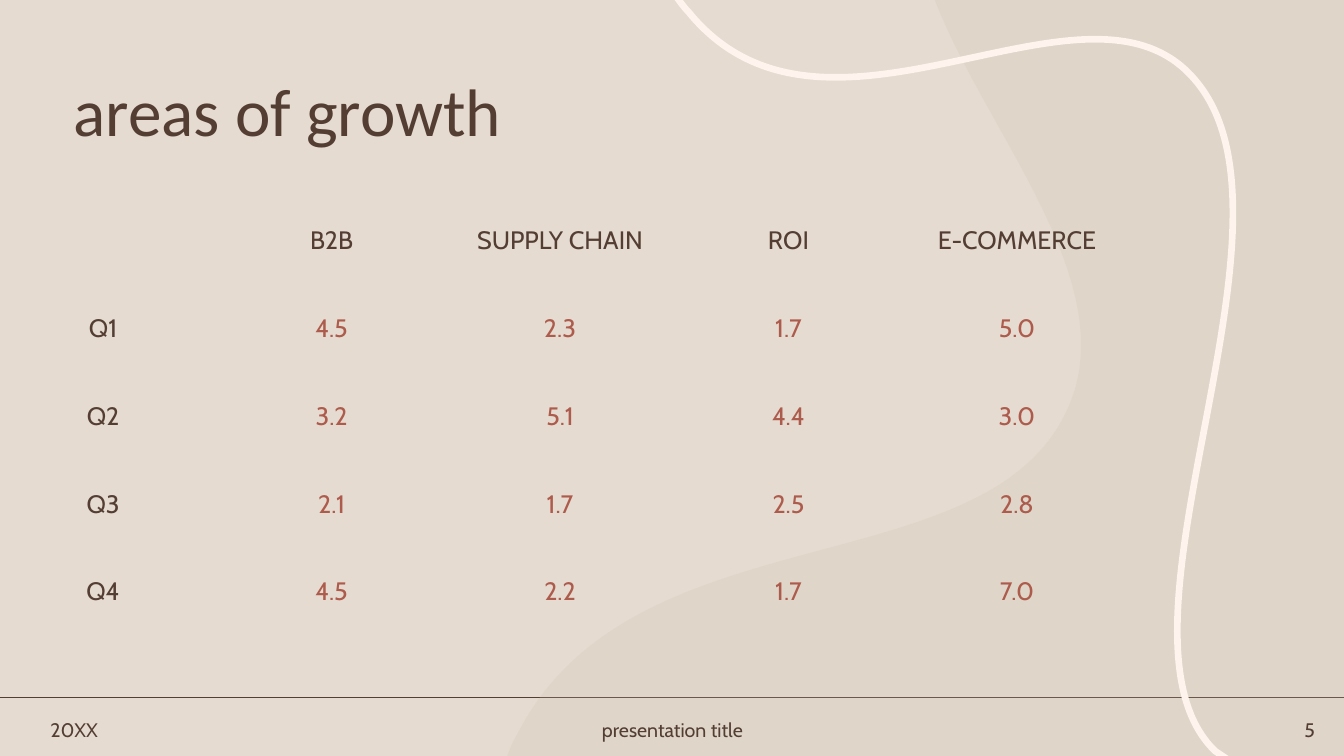
from lxml.etree import SubElement
from pptx import Presentation
from pptx.dml.color import RGBColor
from pptx.enum.shapes import MSO_CONNECTOR
from pptx.enum.text import MSO_ANCHOR, PP_ALIGN
from pptx.oxml.ns import qn
from pptx.util import Inches, Pt

SAND = RGBColor(0xE6, 0xDB, 0xD0)
SAGE = RGBColor(0xC6, 0xC4, 0xAF)
CREAM = RGBColor(0xFE, 0xF3, 0xED)
BROWN = RGBColor(0x54, 0x3E, 0x34)
RUST = RGBColor(0xAC, 0x5B, 0x4C)

SLIDE_W, SLIDE_H = 13.33, 7.5
NO_GRID_STYLE = "{2D5ABB26-0587-4C30-8999-92F81FD0307C}"

# Outlines: a pair is a point, a six-tuple is a Bezier curve to its last pair
WAVE_BOX = (5.03, 0, 8.3, 7.5)
WAVE = [
    (9.27, 0), (13.33, 0), (13.33, 7.5), (5.03, 7.5), (5.07, 7.4),
    (5.11, 7.31, 5.15, 7.25, 5.17, 7.21),
    (6.31, 5.12, 9.62, 5.78, 10.52, 4.19),
    (11.23, 2.96, 9.88, 1.46, 9.32, 0.12),
]
RIBBON_BOX = (6.71, -0.03, 5.52, 7.56)
RIBBON = [
    (12.17, 7.53), (12.14, 7.51), (12.05, 7.45),
    (10.84, 6.27, 13.07, 2.2, 11.85, 0.79),
    (10.78, -0.47, 8.2, 1.8, 6.83, 0.12),
    (6.8, 0.09, 6.76, 0.04, 6.71, -0.03),
]

GROWTH = [
    ("", "B2B", "SUPPLY CHAIN", "ROI", "E-COMMERCE"),
    ("Q1", "4.5", "2.3", "1.7", "5.0"),
    ("Q2", "3.2", "5.1", "4.4", "3.0"),
    ("Q3", "2.1", "1.7", "2.5", "2.8"),
    ("Q4", "4.5", "2.2", "1.7", "7.0"),
]


def add_outline(slide, box, outline, closed):
    """Add a freeform that fills the box, then draw the outline's curves in it."""
    left, top, width, height = map(Inches, box)
    builder = slide.shapes.build_freeform(left, top)
    builder.add_line_segments([(left + width, top + height)], close=False)
    shape = builder.convert_to_shape()
    shape.shadow.inherit = False

    drawing = next(shape._element.iter(qn("a:path")))
    for command in list(drawing):
        drawing.remove(command)
    for index, segment in enumerate(outline):
        tag = "a:cubicBezTo" if len(segment) == 6 else "a:lnTo" if index else "a:moveTo"
        command = SubElement(drawing, qn(tag))
        for x, y in zip(segment[::2], segment[1::2]):
            point = SubElement(command, qn("a:pt"))
            point.set("x", str(Inches(x) - left))
            point.set("y", str(Inches(y) - top))
    if closed:
        SubElement(drawing, qn("a:close"))
    return shape


def write(paragraph, text, size, color=BROWN, font="Cabin", align=PP_ALIGN.LEFT):
    paragraph.alignment = align
    run = paragraph.add_run()
    run.text = text
    run.font.size = Pt(size)
    run.font.name = font
    run.font.color.rgb = color


def add_label(slide, box, text, size, **style):
    frame = slide.shapes.add_textbox(*map(Inches, box)).text_frame
    frame.word_wrap = True
    frame.vertical_anchor = MSO_ANCHOR.MIDDLE
    write(frame.paragraphs[0], text, size, **style)
    return frame


def add_backdrop(slide):
    slide.background.fill.solid()
    slide.background.fill.fore_color.rgb = SAND

    # Footer rule
    y = Inches(6.92)
    rule = slide.shapes.add_connector(MSO_CONNECTOR.STRAIGHT, 0, y, Inches(SLIDE_W), y)
    rule.line.color.rgb = BROWN
    rule.line.width = Pt(1.25)
    SubElement(rule._element.spPr, qn("a:effectLst"))

    # Translucent wave
    wave = add_outline(slide, WAVE_BOX, WAVE, closed=True)
    wave.fill.solid()
    wave.fill.fore_color.rgb = SAGE
    wave.line.fill.background()
    tint = wave._element.spPr.find(qn("a:solidFill")).find(qn("a:srgbClr"))
    SubElement(tint, qn("a:alpha")).set("val", "20000")

    # Ribbon line
    ribbon = add_outline(slide, RIBBON_BOX, RIBBON, closed=False)
    ribbon.fill.background()
    ribbon.line.color.rgb = CREAM
    ribbon.line.width = Pt(4.75)


def add_title(slide, box):
    frame = add_label(slide, box, "areas of growth", 48, font="Calibri")
    frame.paragraphs[0].line_spacing = 0.9


def add_growth_table(slide, box):
    frame = slide.shapes.add_table(len(GROWTH), len(GROWTH[0]), *map(Inches, box))
    table = frame.table
    table.first_row = table.horz_banding = False
    table._tbl.tblPr.find(qn("a:tableStyleId")).text = NO_GRID_STYLE
    for r, row in enumerate(GROWTH):
        for c, text in enumerate(row):
            cell = table.cell(r, c)
            cell.fill.background()
            cell.vertical_anchor = MSO_ANCHOR.MIDDLE
            if text:
                write(cell.text_frame.paragraphs[0], text, 18,
                      color=RUST if r and c else BROWN, align=PP_ALIGN.CENTER)


def add_footer(slide, box):
    left, top, width, height = box
    side, middle = 1.08, 3.76
    parts = [
        ("20XX", left, side, PP_ALIGN.LEFT),
        ("presentation title", left + (width - middle) / 2 - 0.1, middle, PP_ALIGN.CENTER),
        ("5", left + width - side, side, PP_ALIGN.RIGHT),
    ]
    for text, x, part_width, align in parts:
        add_label(slide, (x, top, part_width, height), text, 14, align=align)


def main():
    deck = Presentation()
    deck.slide_width, deck.slide_height = Inches(SLIDE_W), Inches(SLIDE_H)
    slide = deck.slides.add_slide(deck.slide_layouts[6])
    add_backdrop(slide)
    add_title(slide, (0.63, 0.77, 11.5, 0.74))
    add_growth_table(slide, (-0.11, 1.95, 11.33, 4.36))
    add_footer(slide, (0.4, 7.07, 12.74, 0.34))
    deck.save("out.pptx")


if __name__ == "__main__":
    main()
